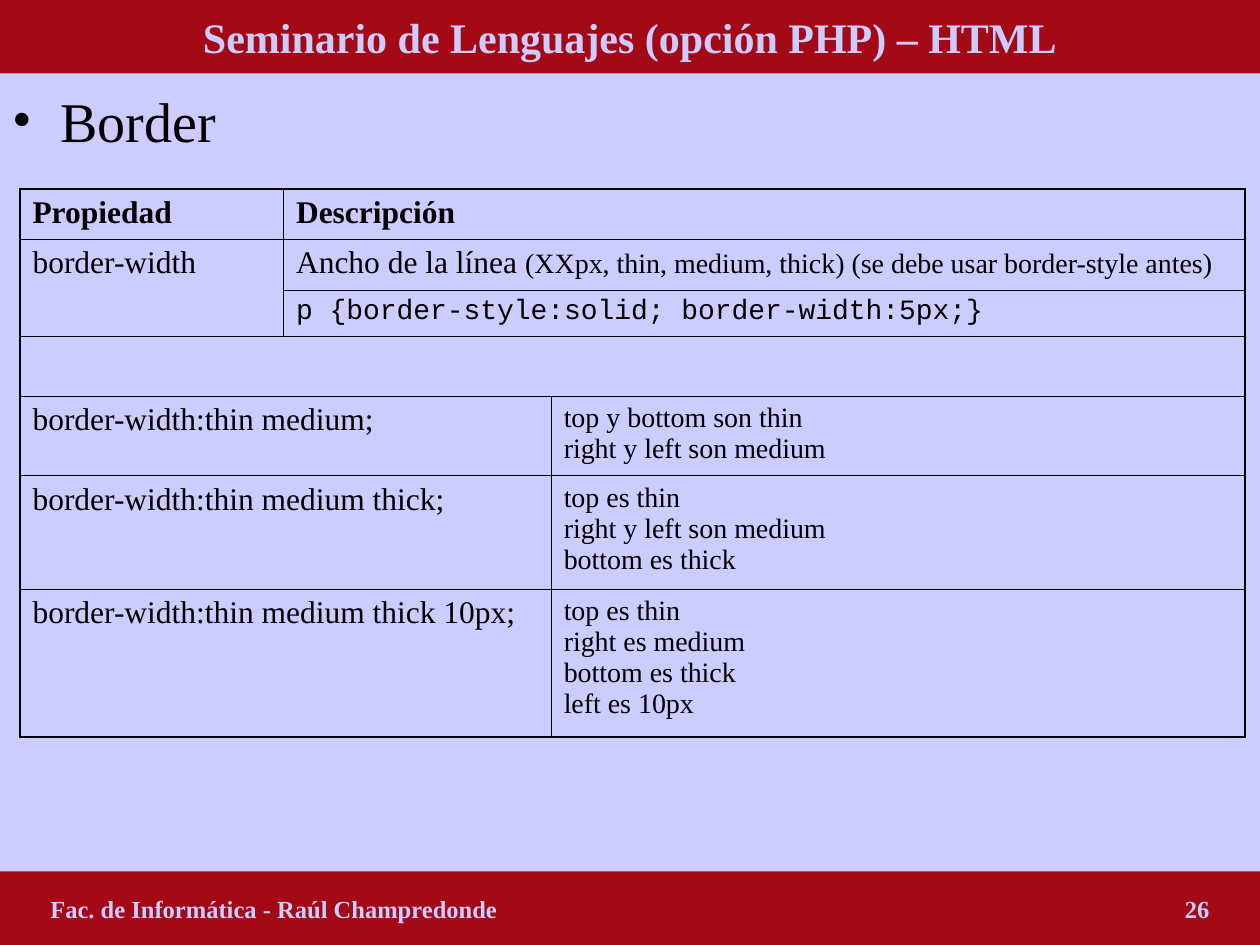
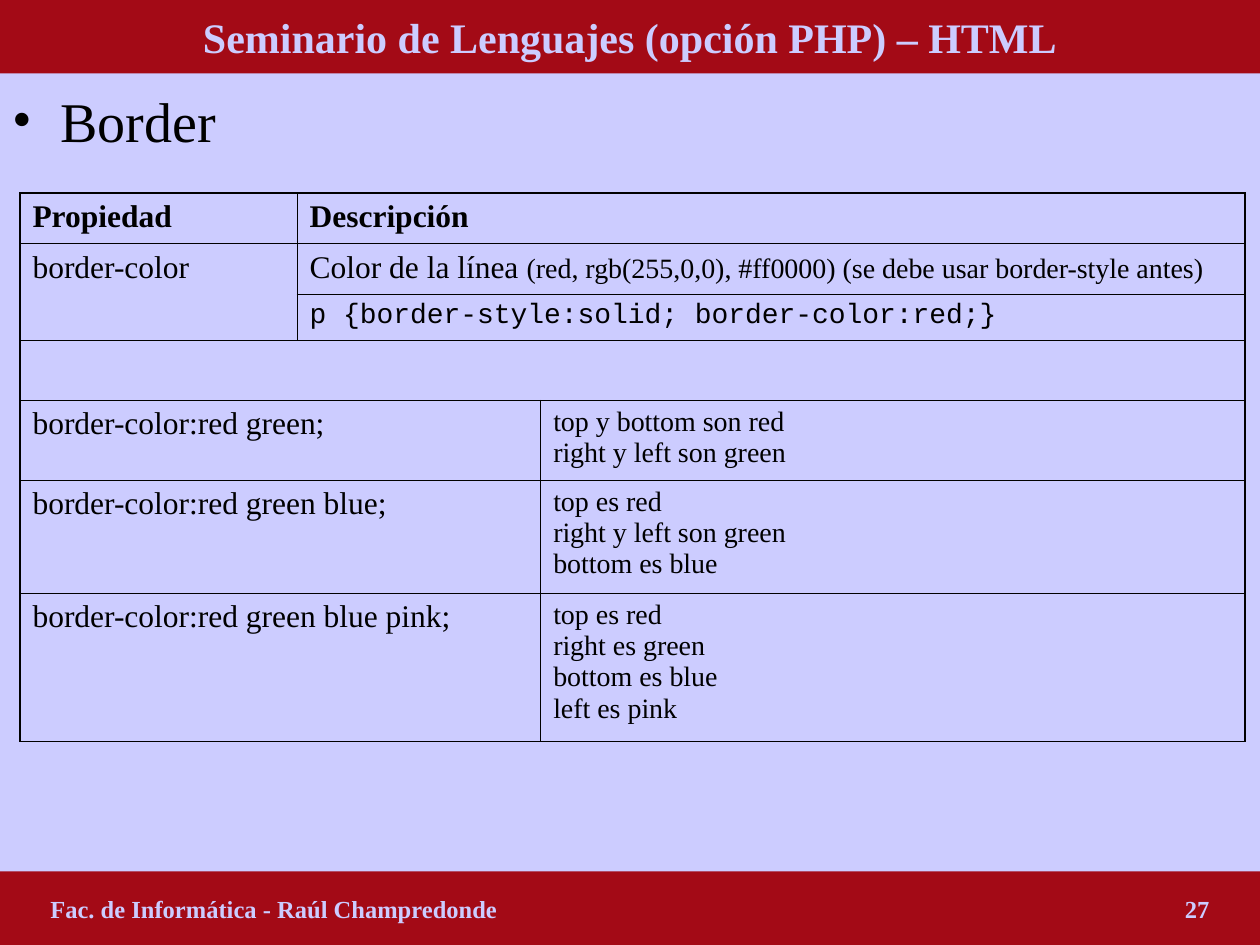
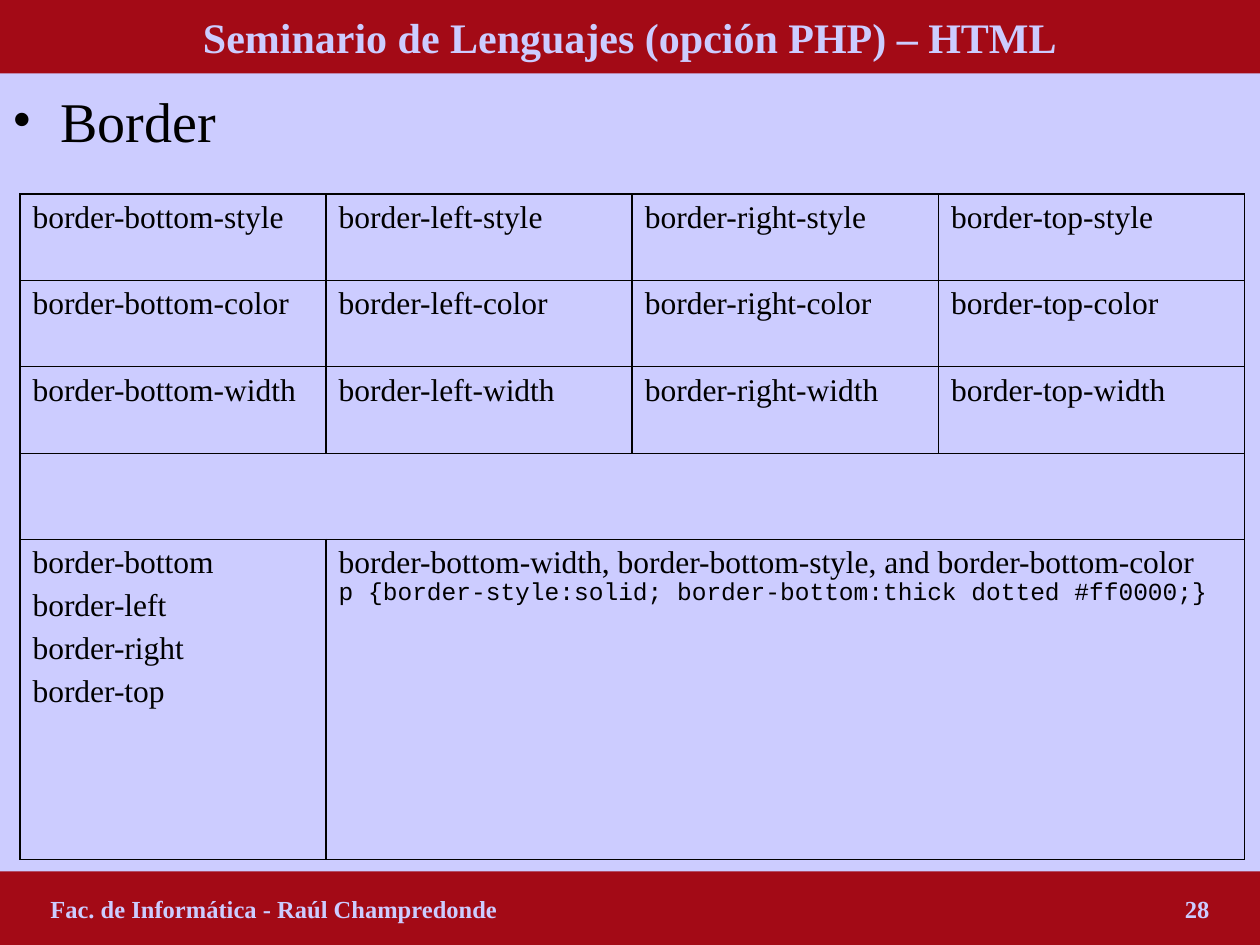
from lxml import etree
from pptx import Presentation
from pptx.dml.color import RGBColor
from pptx.enum.shapes import MSO_SHAPE
from pptx.enum.text import MSO_ANCHOR, MSO_AUTO_SIZE, PP_ALIGN
from pptx.oxml.ns import qn
from pptx.util import Inches, Pt

COLS, ROWS = 120, 90
BAND = 7
TABLE_LEFT = 1.9
LAVENDER, RED, BLACK = "CCCCFF", "A30A16", "000000"
SERIF, MONO = "Times New Roman", "Courier New"
THIN, THICK = 0.45, 1.08
HEADING = "Seminario de Lenguajes (opción PHP) – HTML"
AUTHOR = "Fac. de Informática - Raúl Champredonde"
NORMAL = dict(size=18)
BOLD = dict(size=18, bold=True)
SMALL = dict(size=16)
CODE = dict(size=16, name=MONO)
SIDES = {
    2: "top y bottom son {}\nright y left son {}",
    3: "top es {}\nright y left son {}\nbottom es {}",
    4: "top es {}\nright es {}\nbottom es {}\nleft es {}",
}


def rgb(value):
    """Turn a hex string into a colour."""
    return RGBColor.from_string(value)


def grid(units):
    """Turn grid units, twelve to the inch, into a length."""
    return Inches(units / 12)


def set_attrs(target, **values):
    """Set each given attribute on the target."""
    for key, value in values.items():
        setattr(target, key, value)


def add_xml(parent, tag, **attrs):
    """Append a drawing element with its attributes."""
    child = etree.SubElement(parent, qn(tag))
    for key, value in attrs.items():
        child.set(key, str(value))
    return child


def write(p, text, size, name=SERIF, color=BLACK, bold=False):
    """Add formatted text to a paragraph, breaking at newlines."""
    for i, line in enumerate(text.split("\n")):
        if i:
            p.add_line_break()
        if line:
            r = p.add_run()
            r.text = line
            set_attrs(r.font, size=Pt(size), name=name, bold=bold)
            r.font.color.rgb = rgb(color)


def style_band(sp, top):
    """Place a shape as a full-width red band and return its paragraph."""
    set_attrs(sp, left=0, top=grid(top), width=grid(COLS), height=grid(BAND))
    sp.fill.solid()
    sp.fill.fore_color.rgb = rgb(RED)
    tf = sp.text_frame
    set_attrs(tf, vertical_anchor=MSO_ANCHOR.MIDDLE, word_wrap=True,
              auto_size=MSO_AUTO_SIZE.NONE)
    return tf.paragraphs[0]


def add_footer(s, number):
    """Add the bottom band with the author and the slide number."""
    sp = s.shapes.add_shape(MSO_SHAPE.RECTANGLE, 0, 0, 0, 0)
    sp.shadow.inherit = False
    sp.line.fill.background()
    p = style_band(sp, ROWS - BAND)
    set_attrs(sp.text_frame, margin_left=Inches(0.4), margin_right=Inches(0.3))
    p.alignment = PP_ALIGN.LEFT
    tabs = add_xml(p._p.get_or_add_pPr(), "a:tabLst")
    add_xml(tabs, "a:tab", pos=Inches(9.2), algn="r")
    write(p, f"{AUTHOR}\t{number}", 14, color=LAVENDER, bold=True)


def add_topic(s, text):
    """Add the bulleted topic under the title."""
    sp = s.shapes.add_textbox(0, grid(BAND), grid(COLS), grid(ROWS - 2 * BAND))
    tf = sp.text_frame
    set_attrs(tf, word_wrap=True, margin_top=Inches(0.1))
    p = tf.paragraphs[0]
    pPr = p._p.get_or_add_pPr()
    pPr.set("marL", str(Inches(0.38)))
    pPr.set("indent", str(-Inches(0.38)))
    add_xml(add_xml(pPr, "a:buClr"), "a:srgbClr", val=BLACK)
    add_xml(pPr, "a:buFont", typeface=SERIF)
    add_xml(pPr, "a:buChar", char="•")
    write(p, text, 32)


def add_slide(prs, number, topic):
    """Add a slide with its title, topic and footer."""
    s = prs.slides.add_slide(prs.slide_layouts[5])
    p = style_band(s.shapes.title, 0)
    p.alignment = PP_ALIGN.CENTER
    write(p, HEADING, 24, color=LAVENDER, bold=True)
    add_topic(s, topic)
    add_footer(s, number)
    return s


def set_borders(cell, **widths):
    """Draw the cell's edges in black with the given widths."""
    tcPr = cell._tc.get_or_add_tcPr()
    for i, (side, width) in enumerate(widths.items()):
        ln = add_xml(tcPr, f"a:ln{side}", w=Pt(width))
        add_xml(add_xml(ln, "a:solidFill"), "a:srgbClr", val=BLACK)
        tcPr.insert(i, ln)


def add_table(s, top, cols, rows, cells, inner=THIN):
    """Add a table from cells given as row, column, spans and paragraphs."""
    frame = s.shapes.add_table(len(rows), len(cols), grid(TABLE_LEFT), grid(top),
                               grid(sum(cols)), grid(sum(rows)))
    table = frame.table
    set_attrs(table, first_row=False, horz_banding=False)
    for column, width in zip(table.columns, cols):
        column.width = grid(width)
    for row, height in zip(table.rows, rows):
        row.height = grid(height)
    for r, c, down, across, paragraphs in cells:
        cell = table.cell(r, c)
        if down * across > 1:
            cell.merge(table.cell(r + down - 1, c + across - 1))
        tf = cell.text_frame
        for i, runs in enumerate(paragraphs):
            p = tf.add_paragraph() if i else tf.paragraphs[0]
            if i:
                p.space_before = Pt(4.5)
            for text, style in runs:
                write(p, text, **style)
    for r in range(len(rows)):
        for c in range(len(cols)):
            cell = table.cell(r, c)
            cell.fill.background()
            last_col = c + cell.span_width == len(cols)
            last_row = r + cell.span_height == len(rows)
            set_borders(cell, L=inner if c else THICK, R=THICK if last_col else inner,
                        T=THIN if r else THICK, B=THICK if last_row else THIN)


def add_property_table(s, top, cols, prop, about, options, code, values):
    """Add the table of a border property and its shorthand forms."""
    cells = [
        (0, 0, 1, 1, [[("Propiedad", BOLD)]]),
        (0, 1, 1, 2, [[("Descripción", BOLD)]]),
        (1, 0, 2, 1, [[(prop, NORMAL)]]),
        (1, 1, 1, 2, [[(about, NORMAL),
                       (f"({options}) (se debe usar border-style antes)", SMALL)]]),
        (2, 1, 1, 2, [[(code, CODE)]]),
        (3, 0, 1, 3, []),
    ]
    for r, (count, sides) in enumerate(SIDES.items(), 4):
        used = values[:count]
        cells.append((r, 0, 1, 2, [[(f"{prop}:{' '.join(used)};", NORMAL)]]))
        cells.append((r, 2, 1, 1, [[(sides.format(*used), SMALL)]]))
    add_table(s, top, cols, [4.8, 4.8, 4.4, 5.7, 7.6, 10.8, 14.1], cells)


def add_side_table(s):
    """Add the table of the properties of each single side."""
    sides = ["bottom", "left", "right", "top"]
    cells = [(r, c, 1, 1, [[(f"border-{side}-{kind}", NORMAL)]])
             for r, kind in enumerate(["style", "color", "width"])
             for c, side in enumerate(sides)]
    cells += [
        (3, 0, 1, 4, []),
        (4, 0, 1, 1, [[(f"border-{side}", NORMAL)] for side in sides]),
        (4, 1, 1, 3, [[
            ("border-bottom-width, border-bottom-style, and border-bottom-color\n", NORMAL),
            ("p {border-style:solid; border-bottom:thick dotted #ff0000;}",
             dict(size=14, name=MONO))]]),
    ]
    add_table(s, 18.5, [29.16] * 4, [8.22] * 4 + [30.5], cells, THICK)


def main():
    """Build the three slides and save them."""
    prs = Presentation()
    set_attrs(prs, slide_width=grid(COLS), slide_height=grid(ROWS))
    fill = prs.slide_master.background.fill
    fill.solid()
    fill.fore_color.rgb = rgb(LAVENDER)
    width, color, single = [add_slide(prs, n, "Border") for n in range(26, 29)]
    add_property_table(width, 18, [25.1, 25.5, 66.1], "border-width",
                       "Ancho de la línea ", "XXpx, thin, medium, thick",
                       "p {border-style:solid; border-width:5px;}",
                       ["thin", "medium", "thick", "10px"])
    add_property_table(color, 18.4, [26.4, 23.2, 67.1], "border-color",
                       "Color de la línea ", "red, rgb(255,0,0), #ff0000",
                       "p {border-style:solid; border-color:red;}",
                       ["red", "green", "blue", "pink"])
    add_side_table(single)
    prs.save("out.pptx")


if __name__ == "__main__":
    main()
